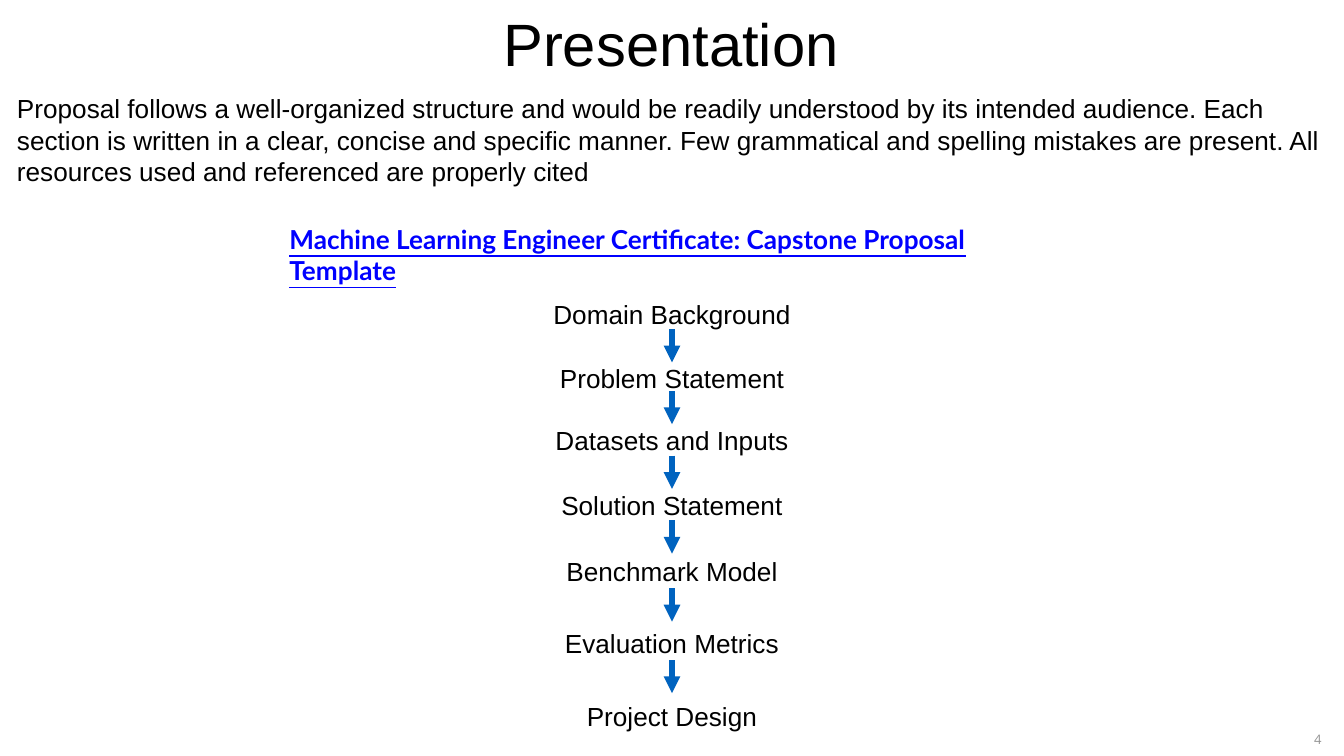
"""Build the proposal presentation slide with its seven-step flow."""
from dataclasses import dataclass
from typing import Optional

import pptx
import pptx.dml.color
import pptx.enum.shapes
import pptx.enum.text
import pptx.oxml
import pptx.oxml.ns
import pptx.slide
import pptx.util

Pt = pptx.util.Pt
Align = pptx.enum.text.PP_ALIGN


@dataclass(frozen=True)
class Theme:
    ink: str = "000000"
    link: str = "0000FF"
    arrow: str = "0063BF"
    muted: str = "929292"
    body_font: str = "Arial"
    link_font: str = "Lato"
    number_font: str = "Open Sans"
    title_size: float = 32
    body_size: float = 14
    number_size: float = 7
    arrow_width: float = 3


@dataclass(frozen=True)
class Label:
    text: str
    left: float
    top: float
    width: float
    height: float
    size: float
    font: str
    color: str
    align: Align = Align.LEFT
    emphasis: bool = False
    wrap: bool = True
    inset: Optional[float] = None


@dataclass(frozen=True)
class Step:
    text: str
    top: float
    width: float
    arrow_top: Optional[float] = None


THEME = Theme()
CENTER = 360
STEP_HEIGHT = 24.5
ARROW_LENGTH = 17.8

LABELS = [
    Label("4", 700.6, 390.2, 10.8, 12.2, THEME.number_size, THEME.number_font,
          THEME.muted, Align.CENTER, wrap=False, inset=1.44),
    Label("Presentation", 21.6, 0, 676, 46, THEME.title_size, THEME.body_font,
          THEME.ink, Align.CENTER),
    Label("Proposal follows a well-organized structure and would be readily understood "
          "by its intended audience. Each section is written in a clear, concise and "
          "specific manner. Few grammatical and spelling mistakes are present. All "
          "resources used and referenced are properly cited",
          2, 46, 716.4, 58.3, THEME.body_size, THEME.body_font, THEME.ink),
    Label("Machine Learning Engineer Certificate: Capstone Proposal Template",
          148, 116, 424, STEP_HEIGHT, THEME.body_size, THEME.link_font, THEME.link,
          emphasis=True),
]

STEPS = [
    Step("Domain Background", 156.2, 142.6, 176.4),
    Step("Problem Statement", 190.8, 135.4, 209.5),
    Step("Datasets and Inputs", 223.9, 139.7, 244.1),
    Step("Solution Statement", 258.5, 133.9, 278.8),
    Step("Benchmark Model", 293.8, 128.2, 315.2),
    Step("Evaluation Metrics", 332.6, 129.6, 353.6),
    Step("Project Design", 371.5, 106.6),
]


def add_label(page: pptx.slide.Slide, label: Label) -> None:
    box = page.shapes.add_textbox(
        Pt(label.left), Pt(label.top), Pt(label.width), Pt(label.height))
    frame = box.text_frame
    frame.word_wrap = label.wrap
    if label.inset is None:
        frame.auto_size = pptx.enum.text.MSO_AUTO_SIZE.SHAPE_TO_FIT_TEXT
    else:
        frame.margin_left = frame.margin_right = Pt(label.inset)
        frame.margin_top = frame.margin_bottom = Pt(label.inset)
    para = frame.paragraphs[0]
    para.alignment = label.align
    span = para.add_run()
    span.text = label.text
    span.font.name = label.font
    span.font.size = Pt(label.size)
    span.font.bold = label.emphasis
    span.font.underline = label.emphasis
    span.font.color.rgb = pptx.dml.color.RGBColor.from_string(label.color)


def add_arrow(page: pptx.slide.Slide, top: float) -> None:
    arrow = page.shapes.add_connector(
        pptx.enum.shapes.MSO_CONNECTOR.STRAIGHT,
        Pt(CENTER), Pt(top), Pt(CENTER), Pt(top + ARROW_LENGTH))
    arrow.line.width = Pt(THEME.arrow_width)
    arrow.line.color.rgb = pptx.dml.color.RGBColor.from_string(THEME.arrow)
    namespace = pptx.oxml.ns.nsdecls("a")
    arrow.line._get_or_add_ln().append(
        pptx.oxml.parse_xml(f'<a:tailEnd {namespace} type="triangle"/>'))
    arrow._element.spPr.append(pptx.oxml.parse_xml(f"<a:effectLst {namespace}/>"))


def add_step(page: pptx.slide.Slide, step: Step) -> None:
    add_label(page, Label(
        step.text, CENTER - step.width / 2, step.top, step.width, STEP_HEIGHT,
        THEME.body_size, THEME.body_font, THEME.ink, Align.CENTER, wrap=False))
    if step.arrow_top is not None:
        add_arrow(page, step.arrow_top)


def main() -> None:
    deck = pptx.Presentation()
    deck.slide_width, deck.slide_height = Pt(720), Pt(405)
    page = deck.slides.add_slide(deck.slide_layouts[6])
    for label in LABELS:
        add_label(page, label)
    for step in STEPS:
        add_step(page, step)
    deck.save("out.pptx")


main()
